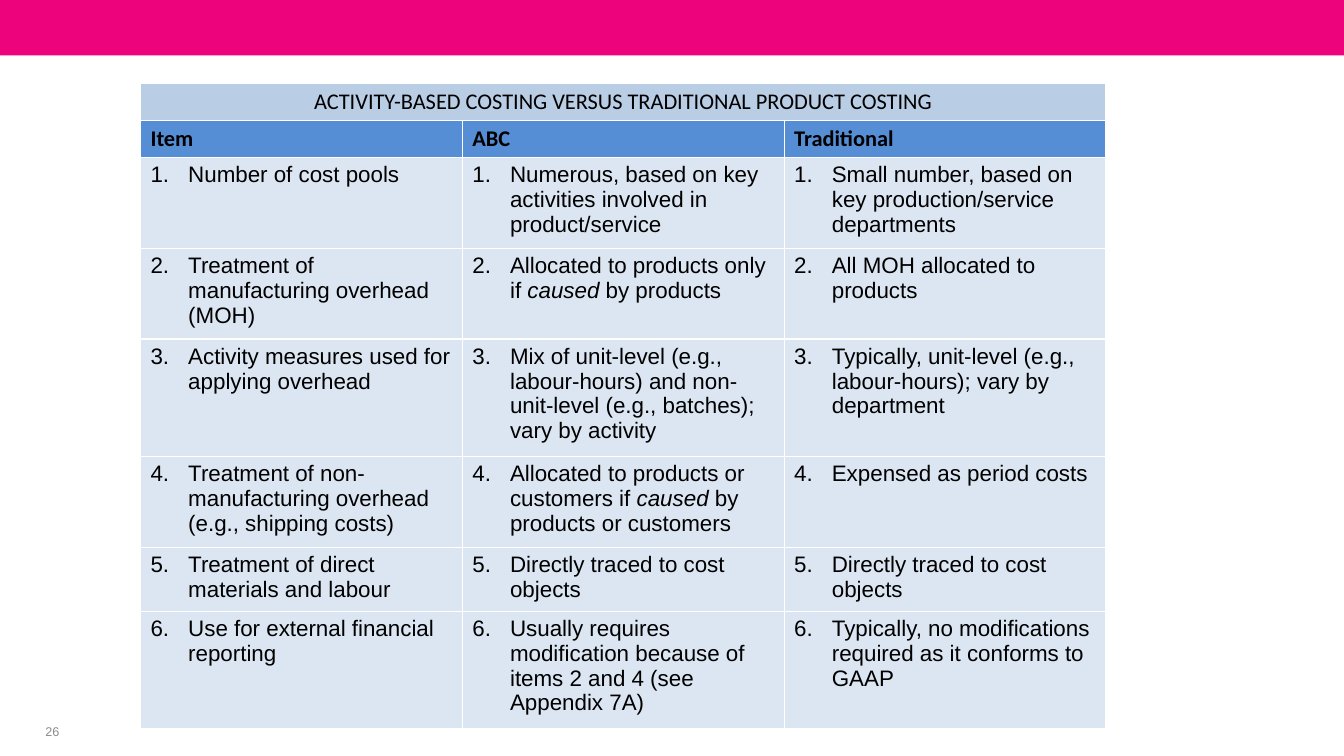
from dataclasses import dataclass

from lxml import etree
from pptx import Presentation
from pptx.dml.color import RGBColor
from pptx.enum.shapes import MSO_SHAPE
from pptx.enum.text import MSO_ANCHOR, PP_ALIGN
from pptx.oxml.ns import qn
from pptx.slide import Slide
from pptx.table import Table, _Cell
from pptx.text.text import _Paragraph
from pptx.util import Cm, Pt

RECTANGLE = MSO_SHAPE.RECTANGLE
MIDDLE = MSO_ANCHOR.MIDDLE
CENTER = PP_ALIGN.CENTER
LEFT = PP_ALIGN.LEFT

COLORS = {
    "band": "ED037C",
    "title": "B9CDE5",
    "header": "558ED5",
    "body": "DCE6F2",
    "border": "FFFFFF",
    "text": "000000",
    "page_number": "8C8C8C",
}
TITLE = "ACTIVITY-BASED COSTING VERSUS TRADITIONAL PRODUCT COSTING"
HEADERS = ("Item", "ABC", "Traditional")
COLUMN_WIDTH = Cm(8.11)
HEADING_HEIGHT = Cm(0.94)
NUMBER_INDENT = Cm(0.95)
BORDER_WIDTH = Pt(1)


@dataclass(frozen=True)
class Comparison:
    item: str
    abc: str
    traditional: str
    height: float


@dataclass(frozen=True)
class TextStyle:
    font: str
    size: float = 16
    color: str = "text"
    bold: bool = False


TITLE_STYLE = TextStyle("Calibri")
HEADER_STYLE = TextStyle("Calibri", bold=True)
BODY_STYLE = TextStyle("Arial")
PAGE_NUMBER_STYLE = TextStyle("Arial", 9, "page_number")

COMPARISONS = (
    Comparison(
        "Number of cost pools",
        "Numerous, based on key activities involved in product/service",
        "Small number, based on key production/service departments",
        2.14,
    ),
    Comparison(
        "Treatment of manufacturing overhead (MOH)",
        "Allocated to products only if *caused* by products",
        "All MOH allocated to products",
        2.14,
    ),
    Comparison(
        "Activity measures used for applying overhead",
        "Mix of unit-level (e.g., labour-hours) and non-unit-level "
        "(e.g., batches); vary by activity",
        "Typically, unit-level (e.g., labour-hours); vary by department",
        2.77,
    ),
    Comparison(
        "Treatment of non-manufacturing overhead (e.g., shipping costs)",
        "Allocated to products or customers if *caused* by products or customers",
        "Expensed as period costs",
        2.14,
    ),
    Comparison(
        "Treatment of direct materials and labour",
        "Directly traced to cost objects",
        "Directly traced to cost objects",
        1.52,
    ),
    Comparison(
        "Use for external financial reporting",
        "Usually requires modification because of items 2 and 4 (see Appendix 7A)",
        "Typically, no modifications required as it conforms to GAAP",
        2.77,
    ),
)


def color_of(name: str) -> RGBColor:
    return RGBColor.from_string(COLORS[name])


def add_runs(para: _Paragraph, text: str, style: TextStyle) -> None:
    for index, part in enumerate(text.split("*")):
        span = para.add_run()
        span.text = part
        span.font.name = style.font
        span.font.size = Pt(style.size)
        span.font.bold = style.bold
        span.font.italic = index % 2 == 1
        span.font.color.rgb = color_of(style.color)


def number_paragraph(para: _Paragraph, number: int) -> None:
    properties = para._p.get_or_add_pPr()
    properties.set("marL", str(NUMBER_INDENT))
    properties.set("indent", str(-NUMBER_INDENT))
    bullet = etree.SubElement(properties, qn("a:buAutoNum"), type="arabicPeriod")
    bullet.set("startAt", str(number))


def add_borders(cell: _Cell) -> None:
    properties = cell._tc.get_or_add_tcPr()
    for side in ("a:lnL", "a:lnR", "a:lnT", "a:lnB"):
        line = etree.SubElement(properties, qn(side), w=str(BORDER_WIDTH))
        fill = etree.SubElement(line, qn("a:solidFill"))
        etree.SubElement(fill, qn("a:srgbClr"), val=COLORS["border"])


def fill_cell(
    cell: _Cell, text: str, style: TextStyle, fill: str, align: PP_ALIGN = LEFT
) -> _Paragraph:
    add_borders(cell)
    cell.fill.solid()
    cell.fill.fore_color.rgb = color_of(fill)
    para = cell.text_frame.paragraphs[0]
    para.alignment = align
    add_runs(para, text, style)
    return para


def fill_table(table: Table) -> None:
    heading_rows = 2
    for column in table.columns:
        column.width = COLUMN_WIDTH
    for row in range(heading_rows):
        table.rows[row].height = HEADING_HEIGHT
    table.cell(0, 0).merge(table.cell(0, len(HEADERS) - 1))
    fill_cell(table.cell(0, 0), TITLE, TITLE_STYLE, "title", CENTER)
    for column, header in enumerate(HEADERS):
        fill_cell(table.cell(1, column), header, HEADER_STYLE, "header")
    for number, entry in enumerate(COMPARISONS, start=1):
        row = number + heading_rows - 1
        table.rows[row].height = Cm(entry.height)
        for column, text in enumerate((entry.item, entry.abc, entry.traditional)):
            para = fill_cell(table.cell(row, column), text, BODY_STYLE, "body")
            number_paragraph(para, number)


def add_band(page: Slide, width: int) -> None:
    band = page.shapes.add_shape(RECTANGLE, 0, 0, width, Cm(1.4))
    band.shadow.inherit = False
    band.fill.solid()
    band.fill.fore_color.rgb = color_of("band")
    band.line.fill.background()


def add_page_number(page: Slide, number: str) -> None:
    box = page.shapes.add_textbox(Cm(0.66), Cm(18.14), Cm(1.32), Cm(0.61))
    frame = box.text_frame
    frame.word_wrap = True
    frame.vertical_anchor = MIDDLE
    para = frame.paragraphs[0]
    para.alignment = CENTER
    add_runs(para, number, PAGE_NUMBER_STYLE)


def main() -> None:
    deck = Presentation()
    deck.slide_width = Cm(33.87)
    deck.slide_height = Cm(19.05)
    page = deck.slides.add_slide(deck.slide_layouts[6])
    add_band(page, deck.slide_width)
    add_page_number(page, "26")
    table_frame = page.shapes.add_table(
        len(COMPARISONS) + 2, len(HEADERS),
        Cm(3.54), Cm(2.09), COLUMN_WIDTH * len(HEADERS), Cm(15.36),
    )
    fill_table(table_frame.table)
    deck.save("out.pptx")


if __name__ == "__main__":
    main()
